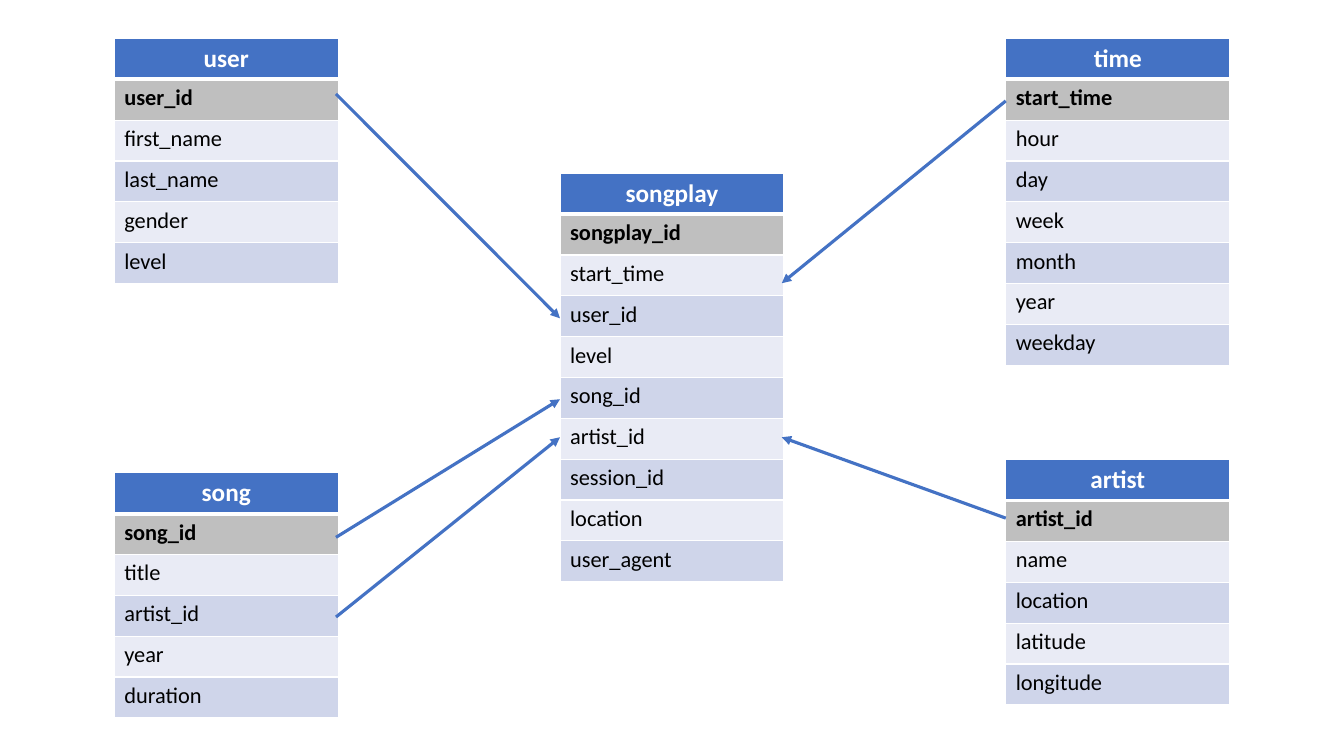
import pptx
import pptx.dml.color
import pptx.enum.shapes
import pptx.enum.text
import pptx.oxml.ns
import pptx.util
from lxml import etree

RGBColor = pptx.dml.color.RGBColor
BLUE = RGBColor(0x44, 0x72, 0xC4)
GREY = RGBColor(0xBF, 0xBF, 0xBF)
LIGHT = RGBColor(0xE9, 0xEB, 0xF5)
DARK = RGBColor(0xCF, 0xD5, 0xEA)
WHITE = RGBColor(0xFF, 0xFF, 0xFF)
BLACK = RGBColor(0, 0, 0)

SLIDE_WIDTH = pptx.util.Inches(13.33)
SLIDE_HEIGHT = pptx.util.Inches(7.5)
COLUMN = SLIDE_WIDTH / 6
ROW = SLIDE_HEIGHT / 18.5
OVERLAP = 0.01  # columns by which an arrow reaches into a right edge

# name: (left in columns, top in rows, fields with the key first)
ENTITIES = {
    "songplay": (2.5, 4.24, ["songplay_id", "start_time", "user_id", "level", "song_id",
                             "artist_id", "session_id", "location", "user_agent"]),
    "user": (0.51, 0.94, ["user_id", "first_name", "last_name", "gender", "level"]),
    "song": (0.51, 11.57, ["song_id", "title", "artist_id", "year", "duration"]),
    "artist": (4.49, 11.25, ["artist_id", "name", "location", "latitude", "longitude"]),
    "time": (4.49, 0.94, ["start_time", "hour", "day", "week", "month", "year", "weekday"]),
}

# (entity, row position below its top) for the start and the songplay end
RELATIONS = [
    ("user", 1.36, 3.55),
    ("song", 1.58, 5.53),
    ("song", 3.53, 6.46),
    ("artist", 1.43, 6.46),
    ("time", 1.53, 2.69),
]


def add_border(cell, side, points):
    """Draw one white border of a cell; call before filling the cell."""
    properties = cell._tc.get_or_add_tcPr()
    line = etree.SubElement(properties, pptx.oxml.ns.qn("a:ln" + side),
                            w=str(pptx.util.Pt(points)))
    fill = etree.SubElement(line, pptx.oxml.ns.qn("a:solidFill"))
    etree.SubElement(fill, pptx.oxml.ns.qn("a:srgbClr"), val=str(WHITE))


def format_cell(cell, row, text):
    """Write a cell and style it as header, key or banded field."""
    thick_side = {0: "B", 1: "T"}.get(row)
    for side in "LRTB":
        add_border(cell, side, 3 if side == thick_side else 1)
    cell.fill.solid()
    cell.fill.fore_color.rgb = {0: BLUE, 1: GREY}.get(row, DARK if row % 2 else LIGHT)
    cell.text_frame.text = text
    paragraph = cell.text_frame.paragraphs[0]
    if row == 0:
        paragraph.alignment = pptx.enum.text.PP_ALIGN.CENTER
    font = paragraph.runs[0].font
    font.name = "Calibri"
    font.size = pptx.util.Pt(16 if row else 18)
    font.bold = row < 2
    font.color.rgb = BLACK if row else WHITE


def add_entity(slide, name):
    """Add the table of one entity: its name, its key and its fields."""
    left, top, fields = ENTITIES[name]
    texts = [name] + fields
    table = slide.shapes.add_table(
        len(texts), 1, round(left * COLUMN), round(top * ROW),
        round(COLUMN), round(ROW * len(texts))).table
    for row, text in enumerate(texts):
        table.rows[row].height = round(ROW)
        format_cell(table.cell(row, 0), row, text)


def edge_point(name, row, right):
    """Return the point on an entity's left or right edge at a row position."""
    left, top, _ = ENTITIES[name]
    column = left + 1 - OVERLAP if right else left
    return round(column * COLUMN), round((top + row) * ROW)


def add_relation(slide, name, start_row, end_row):
    """Add an arrow from an entity to the facing edge of songplay."""
    on_left = ENTITIES[name][0] < ENTITIES["songplay"][0]
    connector = slide.shapes.add_connector(
        pptx.enum.shapes.MSO_CONNECTOR.STRAIGHT,
        *edge_point(name, start_row, on_left),
        *edge_point("songplay", end_row, not on_left))
    connector.line.color.rgb = BLUE
    connector.line.width = pptx.util.Pt(2.25)
    etree.SubElement(connector.line._get_or_add_ln(),
                     pptx.oxml.ns.qn("a:tailEnd"), type="triangle")
    etree.SubElement(connector._element.spPr, pptx.oxml.ns.qn("a:effectLst"))


def main():
    """Build the schema slide and save it."""
    presentation = pptx.Presentation()
    presentation.slide_width = SLIDE_WIDTH
    presentation.slide_height = SLIDE_HEIGHT
    slide = presentation.slides.add_slide(presentation.slide_layouts[6])
    for name in ENTITIES:
        add_entity(slide, name)
    for relation in RELATIONS:
        add_relation(slide, *relation)
    presentation.save("out.pptx")


main()
